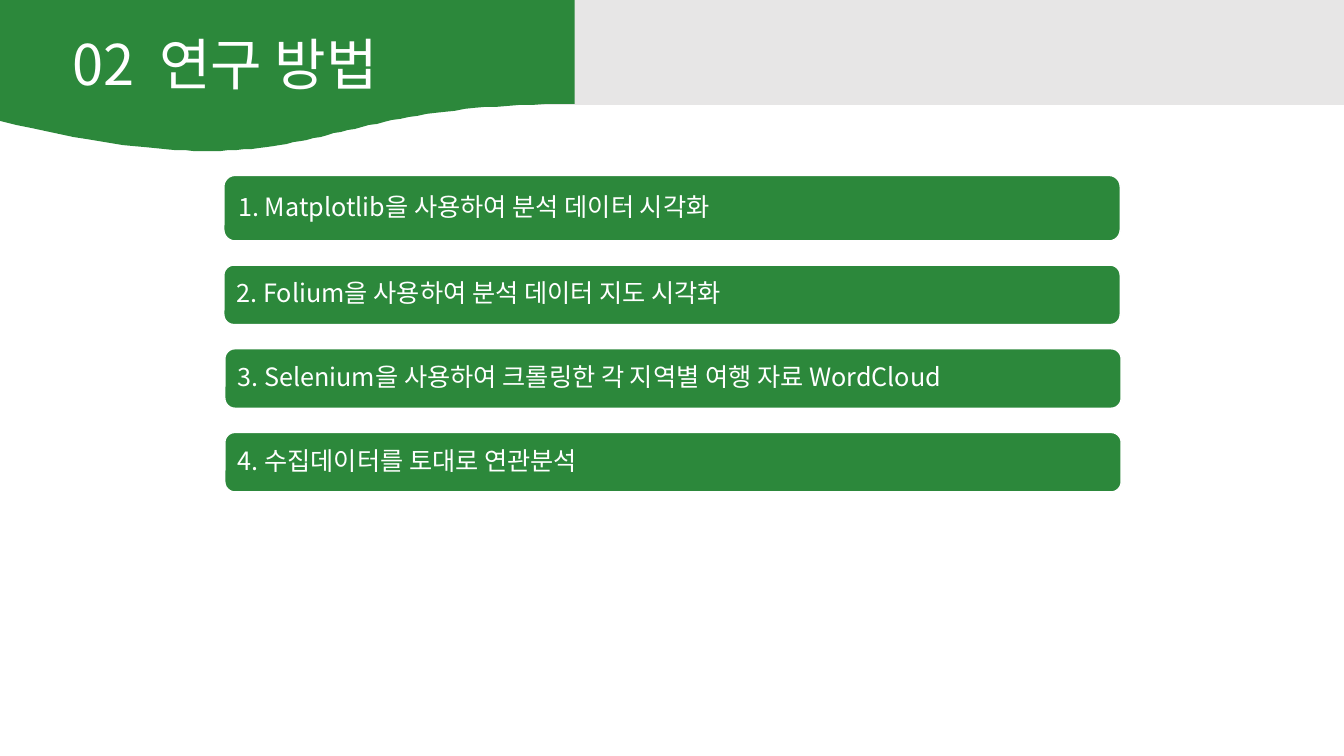
from lxml.etree import SubElement
from pptx import Presentation
from pptx.dml.color import RGBColor as Color
from pptx.enum.shapes import MSO_SHAPE as Shape
from pptx.enum.text import MSO_ANCHOR as Anchor, MSO_AUTO_SIZE as AutoSize, PP_ALIGN as Align
from pptx.oxml.ns import qn
from pptx.util import Pt

PX = 9144
FONT = "Noto Sans CJK KR"
COLORS = {"green": "2C883B", "gray": "E7E6E6", "white": "FFFFFF"}
BARS = [
    (222, 174, 65, 11, "1. Matplotlib을 사용하여 분석 데이터 시각화"),
    (222, 263, 59, 10, "2. Folium을 사용하여 분석 데이터 지도 시각화"),
    (223, 346, 59, 10, "3. Selenium을 사용하여 크롤링한 각 지역별 여행 자료 WordCloud"),
    (223, 429, 59, 10, "4. 수집데이터를 토대로 연관분석"),
]


def color(name):
    return Color.from_string(COLORS[name])


def paint(shape, fill, line=None):
    shape.shadow.inherit = False
    shape.fill.solid()
    shape.fill.fore_color.rgb = color(fill)
    if line:
        shape.line.color.rgb = color(line)
        shape.line.width = Pt(1)
    else:
        shape.line.fill.background()


def write(box, text, size, align=Align.LEFT, anchor=Anchor.TOP, spacing=None, after=0):
    frame = box.text_frame
    frame.word_wrap = True
    frame.vertical_anchor = anchor
    para = frame.paragraphs[0]
    para.alignment = align
    para.line_spacing = spacing
    para.space_after = Pt(after)
    span = para.add_run()
    span.text = text
    span.font.size = Pt(size)
    span.font.name = FONT
    span.font.color.rgb = color("white")
    SubElement(span.font._element, qn("a:ea"), typeface=FONT)


def add_block(page, kind, left, top, width, height, fill, line=None):
    shape = page.shapes.add_shape(kind, left * PX, top * PX, width * PX, height * PX)
    paint(shape, fill, line)
    return shape


def curve(start, first, second, end, steps=60):
    for step in range(1, steps + 1):
        t = step / steps
        weights = ((1 - t) ** 3, 3 * t * (1 - t) ** 2, 3 * t ** 2 * (1 - t), t ** 3)
        yield tuple(
            sum(weight * value for weight, value in zip(weights, values))
            for values in zip(start, first, second, end)
        )


def add_wave(page):
    builder = page.shapes.build_freeform(0, 0, scale=PX)
    wave = curve((570, 103), (285, 103), (319, 196), (0, 120))
    builder.add_line_segments([(570, 0), (570, 103), *wave], close=True)
    paint(builder.convert_to_shape(), "green")


def add_title(page, text):
    title = page.shapes.title
    title.left, title.top, title.width, title.height = (n * PX for n in (26, 24, 394, 111))
    write(title, text, 40, align=Align.CENTER)
    title.text_frame.auto_size = AutoSize.SHAPE_TO_FIT_TEXT
    page.shapes._spTree.append(title._element)


def add_bar(page, left, top, height, inset, text):
    bar = add_block(page, Shape.ROUNDED_RECTANGLE, left, top, 889, height, "green", "white")
    bar.adjustments[0] = 0.17
    frame = bar.text_frame
    frame.margin_left = frame.margin_right = inset * PX
    frame.margin_top = frame.margin_bottom = inset * PX
    write(bar, text, 18, anchor=Anchor.MIDDLE, spacing=0.9, after=6)


def main():
    deck = Presentation()
    deck.slide_width, deck.slide_height = 1333 * PX, 750 * PX
    page = deck.slides.add_slide(deck.slide_layouts[5])
    add_block(page, Shape.RECTANGLE, 0, 0, 1333, 104, "gray")
    add_wave(page)
    add_title(page, "02  연구 방법")
    for bar in BARS:
        add_bar(page, *bar)
    deck.save("out.pptx")


if __name__ == "__main__":
    main()
